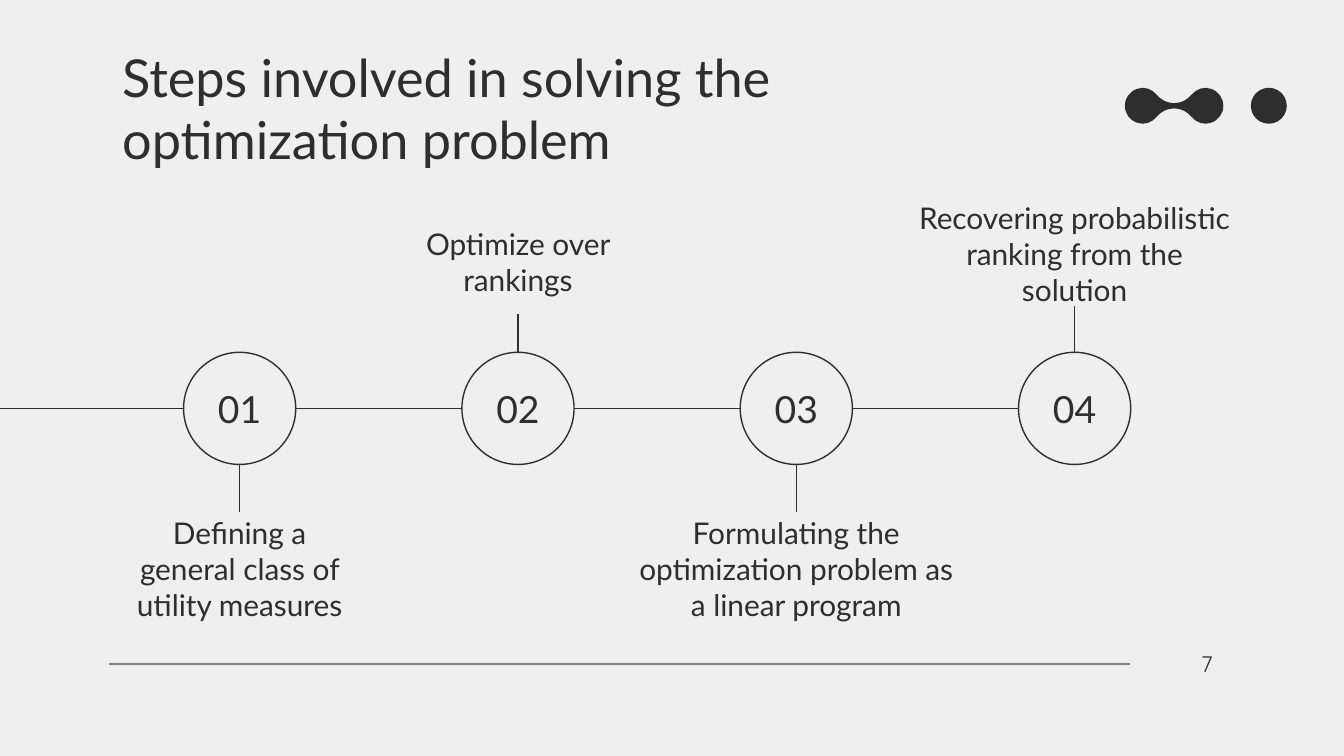
from lxml import etree
from pptx import Presentation
from pptx.dml.color import RGBColor
from pptx.enum.shapes import MSO_CONNECTOR, MSO_SHAPE
from pptx.enum.text import MSO_ANCHOR, PP_ALIGN
from pptx.oxml.ns import qn
from pptx.util import Cm, Pt

DARK = RGBColor(0x2E, 0x2E, 0x2E)
GREY = RGBColor(0x83, 0x83, 0x83)
PAPER = RGBColor(0xEF, 0xEF, 0xEF)
STRAIGHT = MSO_CONNECTOR.STRAIGHT
OVAL = MSO_SHAPE.OVAL
MIDDLE = MSO_ANCHOR.MIDDLE
LEFT, CENTER = PP_ALIGN.LEFT, PP_ALIGN.CENTER

TITLE = "Steps involved in solving the optimization problem"
PAGE_NUMBER = "7"
STEPS = [
    {"text": "Defining a general class of utility measures", "width": 4.95, "stem_end": 9.68},
    {"text": "Optimize over rankings", "width": 4.95, "stem_end": 5.94},
    {"text": "Formulating the optimization problem as a linear program", "width": 6.65, "stem_end": 9.68},
    {"text": "Recovering probabilistic ranking from the solution", "width": 6.48, "stem_end": 5.78},
]
TITLE_FORMAT = {"name": "Lato", "size": Pt(28)}
STEP_FORMAT = {"name": "Lato", "size": Pt(16)}
NUMBER_FORMAT = {"name": "Lato", "size": Pt(20)}
PAGE_FORMAT = {"name": "Quicksand", "size": Pt(12)}

FIRST_CENTER, STEP_GAP = 4.53, 5.26
AXIS, DIAMETER = 7.72, 2.12
RADIUS = DIAMETER / 2
HEIGHT_ABOVE, HEIGHT_BELOW = 1.98, 2.13

DUMBBELL_CENTER = (22.19, 2.0)
DUMBBELL_HALF_WIDTH, DUMBBELL_HALF_HEIGHT = 0.93, 0.34
DUMBBELL_QUARTER = [
    (0, 0.05), (0.13, 0.05), (0.25, 0.11), (0.33, 0.21), (0.42, 0.32),
    (0.57, 0.37), (0.7, 0.32), (0.84, 0.27), (0.93, 0.15), (0.93, 0),
]
DOT_LEFT, DOT_DIAMETER = 23.64, 0.68


def write(shape, text, font_format, alignment=CENTER):
    frame = shape.text_frame
    frame.word_wrap = True
    frame.vertical_anchor = MIDDLE
    for side in ("left", "top", "right", "bottom"):
        setattr(frame, f"margin_{side}", Cm(0.25))
    paragraph = frame.paragraphs[0]
    paragraph.alignment = alignment
    run = paragraph.add_run()
    run.text = text
    for name, value in font_format.items():
        setattr(run.font, name, value)
    run.font.color.rgb = DARK


def add_text(slide, box, text, font_format, alignment=CENTER):
    write(slide.shapes.add_textbox(*map(Cm, box)), text, font_format, alignment)


def add_line(slide, start, end, color=DARK):
    connector = slide.shapes.add_connector(STRAIGHT, *map(Cm, (*start, *end)))
    connector.line.color.rgb = color
    connector.line.width = Pt(0.75)
    etree.SubElement(connector._element.spPr, qn("a:effectLst"))


def paint(shape, fill):
    shape.shadow.inherit = False
    shape.fill.solid()
    shape.fill.fore_color.rgb = fill
    shape.line.fill.background()


def add_circle(slide, left, top, diameter, fill):
    circle = slide.shapes.add_shape(OVAL, *map(Cm, (left, top, diameter, diameter)))
    paint(circle, fill)
    return circle


def add_point(parent, point):
    x, y = point
    etree.SubElement(parent, qn("a:pt"), x=str(Cm(x + DUMBBELL_HALF_WIDTH)),
                     y=str(Cm(y + DUMBBELL_HALF_HEIGHT)))


def add_dumbbell(slide):
    center_x, center_y = DUMBBELL_CENTER
    corners = [(Cm(center_x + x * DUMBBELL_HALF_WIDTH), Cm(center_y + y * DUMBBELL_HALF_HEIGHT))
               for x, y in ((-1, -1), (1, -1), (1, 1), (-1, 1))]
    builder = slide.shapes.build_freeform(*corners[0])
    builder.add_line_segments(corners[1:], close=True)
    dumbbell = builder.convert_to_shape()
    paint(dumbbell, DARK)

    half = DUMBBELL_QUARTER + [(x, -y) for x, y in DUMBBELL_QUARTER[-2::-1]]
    outline = half + [(-x, y) for x, y in half[-2::-1]]
    curve_path = next(dumbbell._element.iter(qn("a:path")))
    for child in list(curve_path):
        curve_path.remove(child)
    add_point(etree.SubElement(curve_path, qn("a:moveTo")), outline[0])
    for i in range(1, len(outline), 3):
        curve = etree.SubElement(curve_path, qn("a:cubicBezTo"))
        for point in outline[i:i + 3]:
            add_point(curve, point)
    etree.SubElement(curve_path, qn("a:close"))


def add_step(slide, index, step):
    center = FIRST_CENTER + index * STEP_GAP
    stem_end = step["stem_end"]
    below = stem_end > AXIS
    height = HEIGHT_BELOW if below else HEIGHT_ABOVE
    top = stem_end if below else stem_end - height
    box = (center - step["width"] / 2, top, step["width"], height)
    add_text(slide, box, step["text"], STEP_FORMAT)

    circle = add_circle(slide, center - RADIUS, AXIS - RADIUS, DIAMETER, PAPER)
    circle.line.color.rgb = DARK
    circle.line.width = Pt(0.75)
    write(circle, f"{index + 1:02d}", NUMBER_FORMAT)

    stem_start = AXIS + RADIUS if below else AXIS - RADIUS
    add_line(slide, (center, stem_start), (center, stem_end))
    previous_edge = center - STEP_GAP + RADIUS if index else 0
    add_line(slide, (previous_edge, AXIS), (center - RADIUS, AXIS))


def main():
    presentation = Presentation()
    presentation.slide_width, presentation.slide_height = Cm(25.4), Cm(14.29)
    slide = presentation.slides.add_slide(presentation.slide_layouts[6])
    slide.background.fill.solid()
    slide.background.fill.fore_color.rgb = PAPER

    add_line(slide, (21.36, 12.55), (2.06, 12.55), GREY)
    add_circle(slide, DOT_LEFT, DUMBBELL_CENTER[1] - DOT_DIAMETER / 2, DOT_DIAMETER, DARK)
    add_dumbbell(slide)
    add_text(slide, (22.25, 12.28, 1.12, 0.53), PAGE_NUMBER, PAGE_FORMAT)
    add_text(slide, (2.06, 1.16, 17.35, 1.75), TITLE, TITLE_FORMAT, LEFT)
    for index, step in enumerate(STEPS):
        add_step(slide, index, step)
    presentation.save("out.pptx")


if __name__ == "__main__":
    main()
